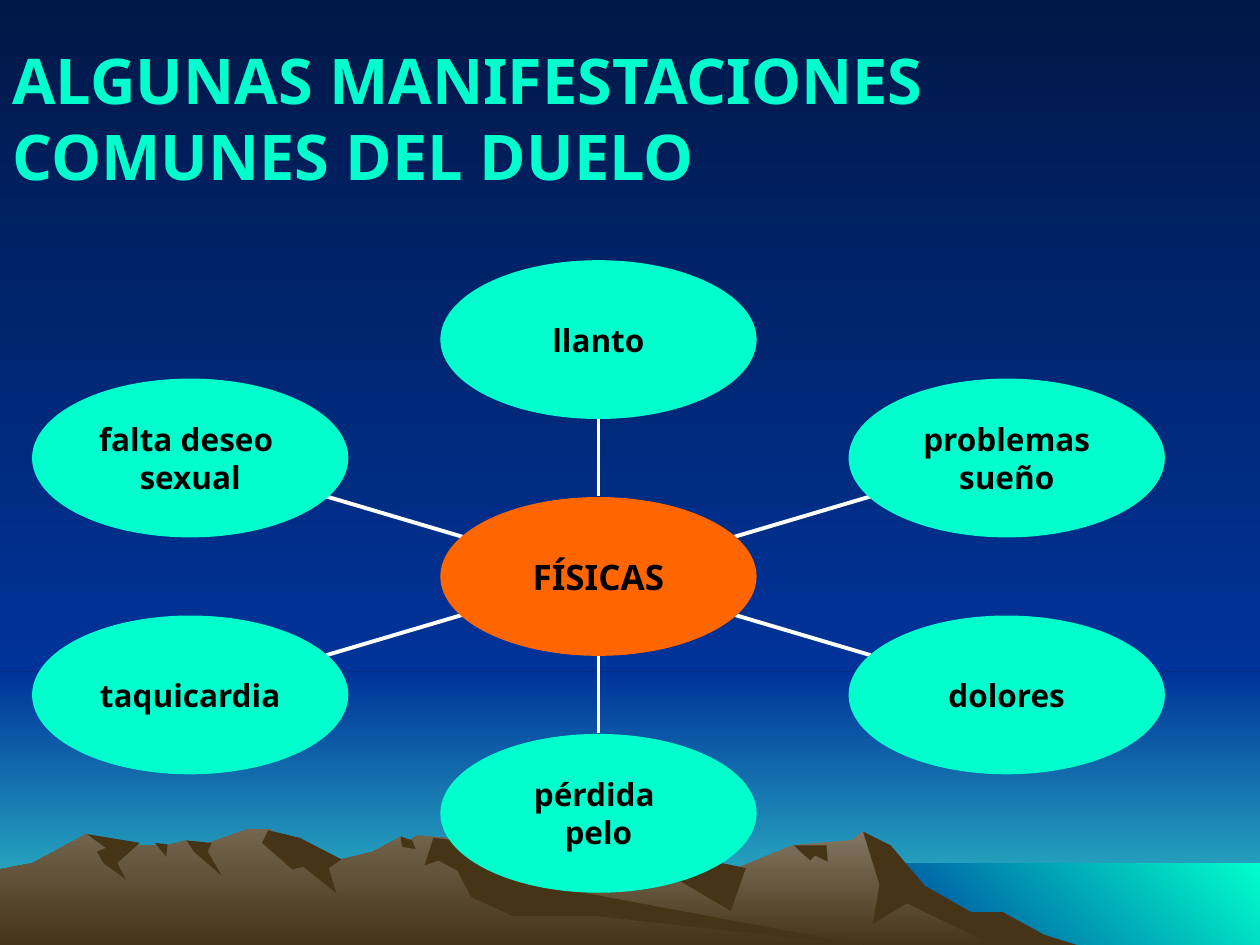
"""Build a slide with six physical signs of grief around a hub, above a mountain landscape."""
from lxml.etree import SubElement
from pptx import Presentation
from pptx.dml.color import RGBColor
from pptx.enum.shapes import MSO_CONNECTOR as CONNECTOR, MSO_SHAPE as SHAPE
from pptx.enum.text import MSO_ANCHOR as ANCHOR, PP_ALIGN as ALIGN
from pptx.oxml.ns import qn
from pptx.util import Pt

PX = 9144
FONT = "Noto Sans"
NAVY, BLUE, AQUA, BROWN = "001847", "003399", "00FFCC", "463416"


def paint(fill, colors, angle=270):
    if len(colors) == 1:
        fill.solid()
        fill.fore_color.rgb = RGBColor.from_string(colors[0])
        return
    fill.gradient()
    fill.gradient_angle = angle
    for stop, color, position in zip(fill.gradient_stops, colors, (0, 1)):
        stop.color.rgb = RGBColor.from_string(color)
        stop.position = position


def write(paragraph, text, size, color):
    span = paragraph.add_run()
    span.text = text
    span.font.name = FONT
    span.font.size = Pt(size)
    span.font.bold = True
    paint(span.font.fill, [color])


deck = Presentation()
deck.slide_width, deck.slide_height = 1000 * PX, 750 * PX
page = deck.slides.add_slide(deck.slide_layouts[6])
paint(page.background.fill, [NAVY, BLUE])

bands = [
    (0, 533, 1000, 217, [BLUE, "33CCCC"], 270),
    (0, 0, 1000, 533, [NAVY, BLUE], 270),
    (683, 685, 317, 67, [BLUE, AQUA], 45),
]
for left, top, width, height, colors, angle in bands:
    band = page.shapes.add_shape(SHAPE.RECTANGLE, left * PX, top * PX, width * PX, height * PX)
    band.shadow.inherit = False
    band.line.fill.background()
    paint(band.fill, colors, angle)

terrain = [
    (["847864", BROWN], [
        (821, 751), (764, 723), (723, 698), (685, 660), (676, 667), (629, 671),
        (566, 697), (468, 658), (355, 698), (258, 751)]),
    ([BROWN], [
        (685, 660), (707, 671), (734, 703), (771, 724), (796, 724), (829, 742),
        (858, 751), (792, 752), (720, 717), (693, 733), (698, 702)]),
    ([BROWN], [(529, 676), (592, 689), (580, 723), (536, 697)]),
    ([BROWN], [(630, 671), (656, 671), (657, 684), (647, 679), (643, 683)]),
    (["73654F", BROWN], [
        (690, 751), (432, 712), (354, 665), (331, 663), (323, 668), (318, 664),
        (296, 676), (271, 682), (236, 681), (215, 658), (196, 658), (160, 671),
        (148, 667), (132, 671), (94, 671), (68, 662), (26, 685), (0, 690), (0, 751)]),
    ([BROWN], [
        (213, 659), (238, 665), (271, 682), (261, 689), (267, 709), (241, 688),
        (232, 690), (208, 669)]),
    ([BROWN], [
        (344, 665), (370, 668), (455, 707), (690, 751), (472, 727), (407, 727),
        (374, 712), (363, 691), (348, 683), (337, 687)]),
    ([BROWN], [(318, 664), (327, 667), (330, 674), (319, 672)]),
    ([BROWN], [(148, 667), (168, 669), (165, 676), (176, 695), (154, 676)]),
    ([BROWN], [(123, 669), (133, 670), (132, 680)]),
    ([BROWN], [
        (69, 662), (111, 669), (93, 685), (100, 698), (82, 685), (77, 676), (84, 673)]),
]
for colors, points in terrain:
    outline = page.shapes.build_freeform(*points[0], scale=PX)
    outline.add_line_segments(points[1:], close=True)
    ridge = outline.convert_to_shape()
    ridge.shadow.inherit = False
    ridge.line.fill.background()
    paint(ridge.fill, colors)

title = page.shapes.add_textbox(0, 28 * PX, 937 * PX, 130 * PX).text_frame
title.word_wrap = True
title.paragraphs[0].space_before = Pt(22.5)
write(title.paragraphs[0], "ALGUNAS MANIFESTACIONES COMUNES DEL DUELO", 36, AQUA)

HUB_X, HUB_Y, WIDTH, HEIGHT = 475, 457, 250, 125
SIDE, RISE = 324, 94
nodes = [
    (-SIDE, -RISE, ["falta deseo ", "sexual"]),
    (-SIDE, RISE, ["taquicardia"]),
    (0, 2 * RISE, ["pérdida ", "pelo"]),
    (SIDE, RISE, ["dolores"]),
    (SIDE, -RISE, ["problemas", "sueño"]),
    (0, -2 * RISE, ["llanto"]),
    (0, 0, ["FÍSICAS"]),
]
for dx, dy, lines in nodes:
    size, color = (18, AQUA) if dy else (20, "FF6600")
    if dy:
        start, end = [
            ((HUB_X + round(dx * part / 3)) * PX, (HUB_Y + round(dy * part / 3)) * PX)
            for part in (1, 2)]
        spoke = page.shapes.add_connector(CONNECTOR.STRAIGHT, *start, *end)
        spoke.line.width = Pt(2.25)
        paint(spoke.line.fill, ["FFFFFF"])
        SubElement(spoke._element.spPr, qn("a:effectLst"))

    node = page.shapes.add_shape(
        SHAPE.OVAL, (HUB_X + dx - WIDTH // 2) * PX, (HUB_Y + dy - HEIGHT // 2) * PX,
        WIDTH * PX, HEIGHT * PX)
    node.shadow.inherit = False
    node.line.width = Pt(0.75)
    paint(node.fill, [color])
    paint(node.line.fill, [color])
    frame = node.text_frame
    frame.word_wrap = False
    frame.vertical_anchor = ANCHOR.MIDDLE
    frame.margin_left = frame.margin_right = frame.margin_top = frame.margin_bottom = 0
    for index, line in enumerate(lines):
        paragraph = frame.add_paragraph() if index else frame.paragraphs[0]
        paragraph.alignment = ALIGN.CENTER
        write(paragraph, line, size, "000000")

deck.save("out.pptx")
